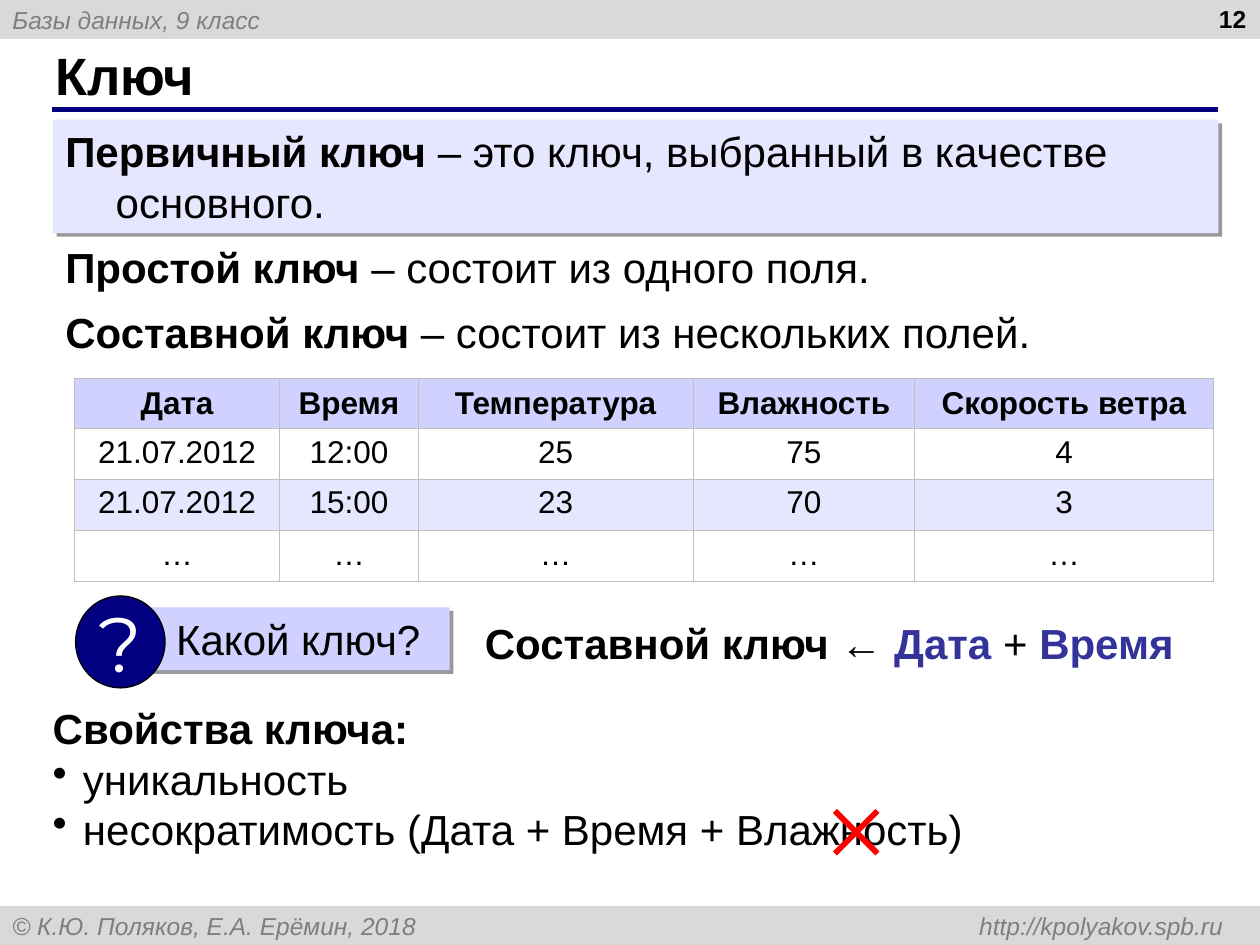
from lxml.etree import SubElement
from pptx import Presentation
from pptx.dml.color import RGBColor
from pptx.enum.shapes import MSO_CONNECTOR, MSO_SHAPE as SHAPE
from pptx.enum.text import MSO_ANCHOR as ANCHOR, PP_ALIGN as ALIGN
from pptx.oxml.ns import qn
from pptx.util import Inches, Pt

THEME = {
    "font": "Arial", "mark_font": "Montserrat",
    "bar_pt": 14, "cell_pt": 18, "body_pt": 24, "title_pt": 30, "mark_pt": 44,
    "black": "000000", "white": "FFFFFF", "gray": "7F7F7F", "bar": "D9D9D9",
    "navy": "000080", "field": "333399", "pale": "E6E6FF", "lilac": "D1D1FF",
    "border": "BFBFBF", "red": "FF0000",
}

# Content: a run is (text, bold) or (text, bold, colour)
BARS = [
    (0, "Базы данных, 9 класс"),
    (7.19, "© К.Ю. Поляков, Е.А. Ерёмин, 2018 \thttp://kpolyakov.spb.ru"),
]
TITLE, NUMBER, QUESTION = "Ключ", "12", "Какой ключ?"
PRIMARY = [("Первичный ключ", True), (" – это ключ, выбранный в качестве основного.", False)]
KINDS = [
    (1.87, [("Простой ключ", True), (" – состоит из одного поля.", False)]),
    (2.38, [("Составной ключ", True), (" – состоит из нескольких полей.", False)]),
]
ANSWER = [("Составной ключ ", True), ("← ", False), ("Дата", True, "field"),
          (" + ", False), ("Время", True, "field")]
PROPERTIES = ["уникальность", "несократимость (Дата + Время + Влажность)"]
TABLE = [
    ["Дата", "Время", "Температура", "Влажность", "Скорость ветра"],
    ["21.07.2012", "12:00", "25", "75", "4"],
    ["21.07.2012", "15:00", "23", "70", "3"],
    ["…"] * 5,
]
COLUMNS = [1.63, 1.1, 2.18, 1.76, 2.37]
ROWS = [0.4, 0.4, 0.41, 0.4]
ROW_FILLS = ["lilac", None, "pale", None]


def rgb(name):
    return RGBColor.from_string(THEME[name])


def write(p, runs, size="body_pt", color="black", font="font", italic=False):
    for text, bold, *own in runs:
        r = p.add_run()
        r.text = text
        f = r.font
        f.name, f.size = THEME[font], Pt(THEME[size])
        f.bold, f.italic = bold, italic
        f.color.rgb = rgb(own[0] if own else color)


def indent(p, left, first):
    pPr = p._p.get_or_add_pPr()
    pPr.set("marL", str(Inches(left)))
    pPr.set("indent", str(Inches(first)))
    return pPr


def textbox(slide, box, runs, **style):
    tf = slide.shapes.add_textbox(*map(Inches, box)).text_frame
    tf.word_wrap = True
    write(tf.paragraphs[0], runs, **style)
    return tf


def shape(parent, kind, box, fill, line=None, anchor=ANCHOR.TOP):
    sp = parent.shapes.add_shape(kind, *map(Inches, box))
    sp.shadow.inherit = False
    sp.fill.solid()
    sp.fill.fore_color.rgb = rgb(fill)
    if line:
        sp.line.color.rgb = rgb(line)
        sp.line.width = Pt(0.75)
    else:
        sp.line.fill.background()
    sp.text_frame.vertical_anchor = anchor
    sp.text_frame.paragraphs[0].alignment = ALIGN.LEFT
    return sp


def add_shadow(sp):
    effects = sp._element.spPr.find(qn("a:effectLst"))
    shadow = SubElement(effects, qn("a:outerShdw"), blurRad="0", dist=str(Pt(3)),
                        dir="2700000", algn="tl", rotWithShape="0")
    color = SubElement(shadow, qn("a:srgbClr"), val=THEME["black"])
    SubElement(color, qn("a:alpha"), val="40000")


def add_borders(cell):
    tcPr = cell._tc.get_or_add_tcPr()
    for i, side in enumerate(("lnL", "lnR", "lnT", "lnB")):
        ln = SubElement(tcPr, qn("a:" + side), w=str(Pt(0.45)))
        tcPr.insert(i, ln)
        fill = SubElement(ln, qn("a:solidFill"))
        SubElement(fill, qn("a:srgbClr"), val=THEME["border"])


def add_measurements(slide):
    box = (0.59, 3, sum(COLUMNS), sum(ROWS))
    table = slide.shapes.add_table(len(ROWS), len(COLUMNS), *map(Inches, box)).table
    for col, width in zip(table.columns, COLUMNS):
        col.width = Inches(width)
    for i, (row, height) in enumerate(zip(table.rows, ROWS)):
        row.height = Inches(height)
        header = i == 0
        for cell, text in zip(row.cells, TABLE[i]):
            if ROW_FILLS[i]:
                cell.fill.solid()
                cell.fill.fore_color.rgb = rgb(ROW_FILLS[i])
            else:
                cell.fill.background()
            add_borders(cell)
            cell.margin_left = cell.margin_right = Inches(0.08 if header else 0.1)
            cell.vertical_anchor = ANCHOR.MIDDLE if header else ANCHOR.TOP
            p = cell.text_frame.paragraphs[0]
            p.alignment = ALIGN.CENTER
            write(p, [(text, header)], size="cell_pt")


def main():
    prs = Presentation()
    prs.slide_width, prs.slide_height = Inches(10), Inches(7.5)
    slide = prs.slides.add_slide(prs.slide_layouts[6])

    # Top and bottom bars, with a right tab for the address
    for top, text in BARS:
        sp = shape(slide, SHAPE.RECTANGLE, (0, top, 10, 0.31), "bar", anchor=ANCHOR.MIDDLE)
        p = sp.text_frame.paragraphs[0]
        write(p, [(text, False)], size="bar_pt", color="gray", italic=True)
        tabs = SubElement(p._p.get_or_add_pPr(), qn("a:tabLst"))
        SubElement(tabs, qn("a:tab"), pos=str(Inches(9.61)), algn="r")

    # Title, rule and slide number
    rule = slide.shapes.add_connector(
        MSO_CONNECTOR.STRAIGHT, *map(Inches, (0.41, 0.87, 9.67, 0.87)))
    rule.line.color.rgb = rgb("navy")
    rule.line.width = Pt(3)
    SubElement(rule._element.spPr, qn("a:effectLst"))
    tf = textbox(slide, (0.34, 0.33, 9.16, 0.52), [(TITLE, True)], size="title_pt")
    tf.vertical_anchor = ANCHOR.MIDDLE
    tf = textbox(slide, (7.66, -0.02, 2.33, 0.52), [(NUMBER, True)], size="bar_pt")
    tf.paragraphs[0].alignment = ALIGN.RIGHT

    # Definitions
    sp = shape(slide, SHAPE.RECTANGLE, (0.42, 0.95, 9.25, 0.9), "pale")
    add_shadow(sp)
    p = sp.text_frame.paragraphs[0]
    indent(p, 0.4, -0.4)
    write(p, PRIMARY)
    for top, runs in KINDS:
        textbox(slide, (0.42, top, 9.25, 0.5), runs)

    add_measurements(slide)

    # Question and answer
    textbox(slide, (3.75, 4.85, 5.72, 0.5), ANSWER)
    group = slide.shapes.add_group_shape()
    sp = shape(group, SHAPE.RECTANGLE, (1.11, 4.82, 2.46, 0.5), "lilac")
    add_shadow(sp)
    p = sp.text_frame.paragraphs[0]
    indent(p, 0.19, 0)
    write(p, [(QUESTION, False)])
    sp = shape(group, SHAPE.OVAL, (0.6, 4.73, 0.71, 0.73), "navy", "black", ANCHOR.MIDDLE)
    sp.text_frame.word_wrap = False
    p = sp.text_frame.paragraphs[0]
    p.alignment = ALIGN.CENTER
    write(p, [("?", False)], size="mark_pt", color="white", font="mark_font")

    # Key properties, the last field crossed out
    tf = textbox(slide, (0.32, 5.53, 9.25, 1.3), [("Свойства ключа:", True)])
    for text in PROPERTIES:
        p = tf.add_paragraph()
        SubElement(indent(p, 0.24, -0.24), qn("a:buChar"), char="•")
        write(p, [(text, False)])
    cross = shape(slide, SHAPE.MATH_MULTIPLY, (6.47, 6.28, 0.65, 0.65), "red")
    cross.adjustments[0] = 0.07

    prs.save("out.pptx")


if __name__ == "__main__":
    main()
